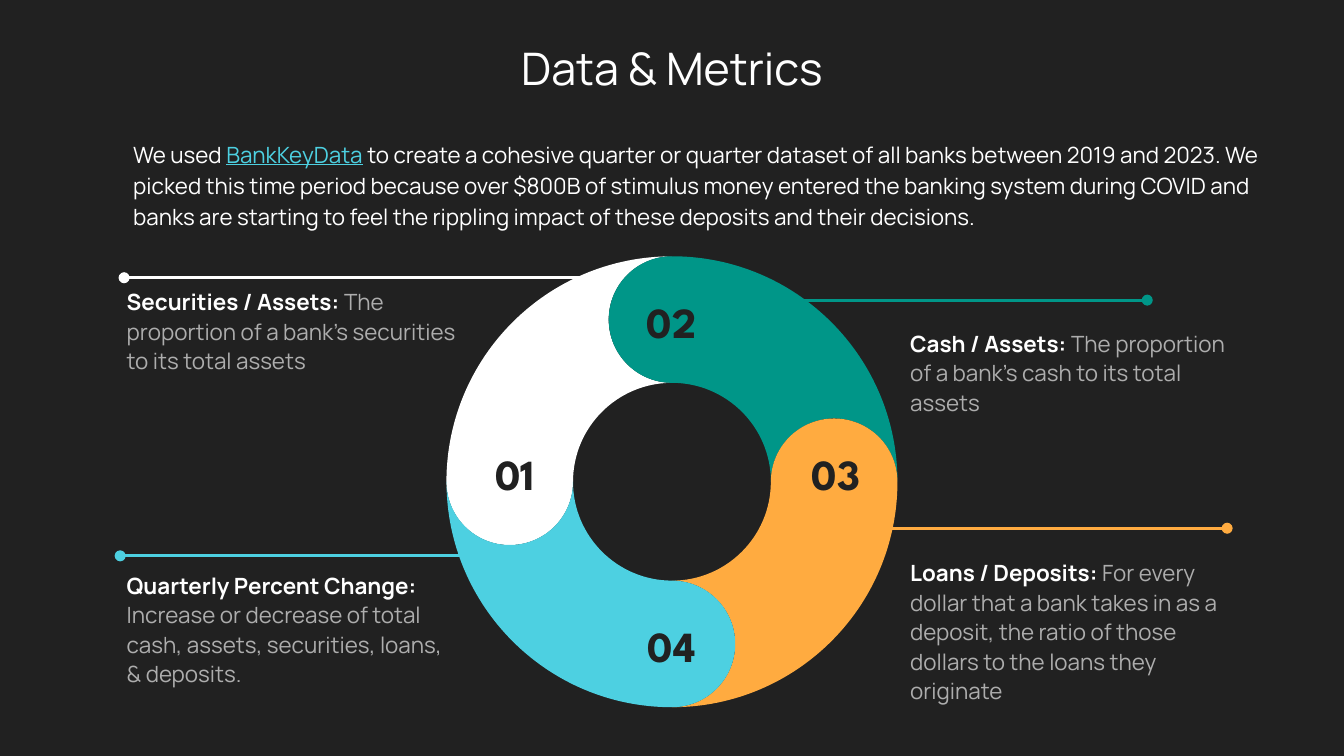
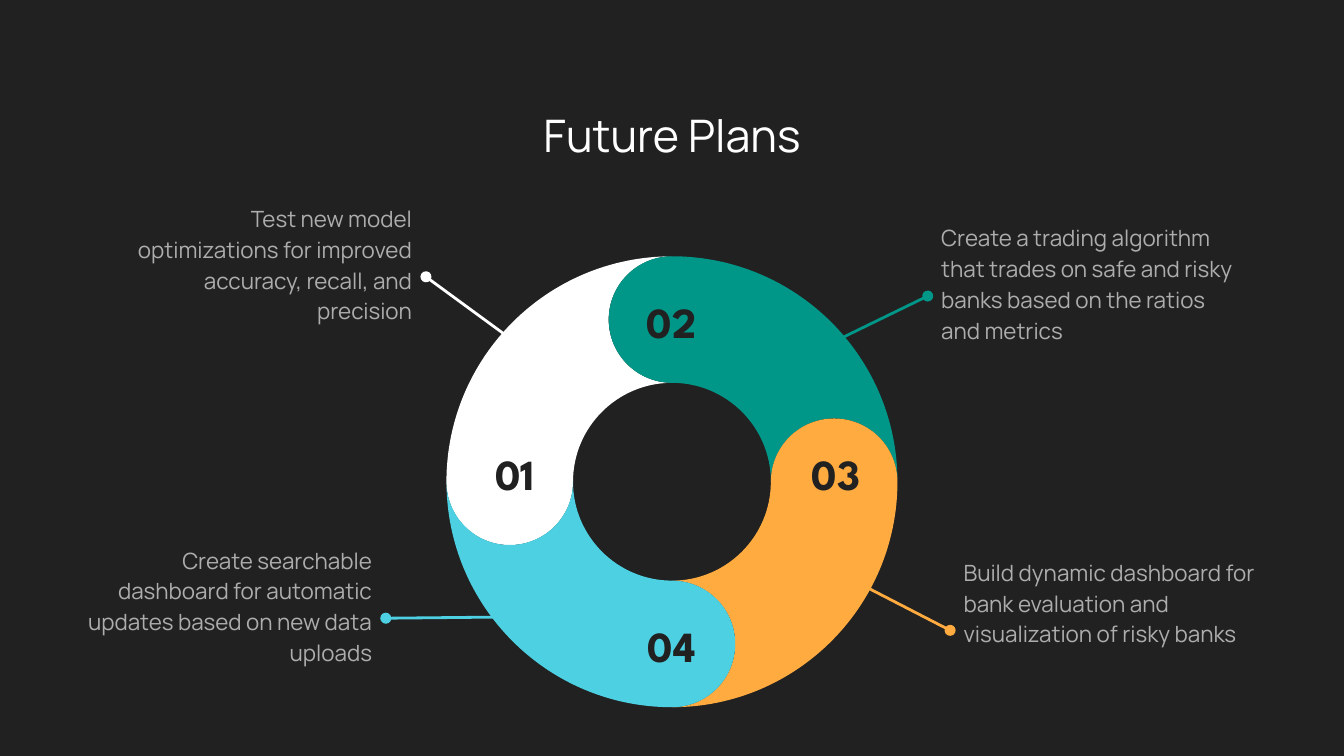
import math

import pptx
import pptx.dml.color
import pptx.enum.shapes
import pptx.enum.text
import pptx.oxml
import pptx.oxml.ns
import pptx.util

Pt = pptx.util.Pt
RGBColor = pptx.dml.color.RGBColor
ALIGN = pptx.enum.text.PP_ALIGN
ANCHOR = pptx.enum.text.MSO_ANCHOR
NAMESPACE = pptx.oxml.ns.nsdecls("a")

DARK = RGBColor(0x21, 0x21, 0x21)
WHITE = RGBColor(0xFF, 0xFF, 0xFF)
GRAY = RGBColor(0xAD, 0xAD, 0xAD)
TEAL = RGBColor(0x00, 0x96, 0x88)
ORANGE = RGBColor(0xFF, 0xAB, 0x40)
CYAN = RGBColor(0x4D, 0xD0, 0xE1)
BODY_FONT = "Manrope"
NUMBER_FONT = "League Spartan"

# Ring: label, colour, start angle (clockwise from the right), label centre
CENTER_X, CENTER_Y = 360, 258.1
OUTER, INNER = 120.8, 53
SEGMENTS = [
    ("01", WHITE, 180, (275.8, 253.8)),
    ("02", TEAL, 270, (360, 172.4)),
    ("03", ORANGE, 0, (447.8, 253.8)),
    ("04", CYAN, 90, (360, 346)),
]

# Captions follow the ring order: lead, text, box, leader start and end
SLIDES = [
    {
        "title": "Data & Metrics",
        "title_top": 19.4,
        "spacing": 1.1,
        "left_align": ALIGN.LEFT,
        "intro": [
            ("We used ", WHITE, False),
            ("BankKeyData", CYAN, True),
            (" to create a cohesive quarter or quarter dataset of all banks "
             "between 2019 and 2023. We picked this time period because over "
             "$800B of stimulus money entered the banking system during COVID "
             "and banks are starting to feel the rippling impact of these "
             "deposits and their decisions.", WHITE, False),
        ],
        "captions": [
            ("Securities / Assets: ",
             "The proportion of a bank’s securities to its total assets",
             (60.7, 145.8, 192.2, 96), (325.4, 148.8), (66.5, 148.8)),
            ("Cash / Assets:",
             " The proportion of a bank’s cash to its total assets",
             (480.4, 168.1, 184.3, 96), (410.4, 160.8), (614.6, 160.8)),
            ("Loans / Deposits: ",
             "For every dollar that a bank takes in as a deposit, the ratio of "
             "those dollars to the loans they originate",
             (480.4, 291.1, 184.3, 96), (476.6, 283), (657.4, 283)),
            ("Quarterly Percent Change: ",
             "Increase or decrease of total cash, assets, securities, loans, "
             "& deposits.",
             (60.7, 297.7, 192.2, 96), (249.1, 297.8), (64.4, 297.8)),
        ],
    },
    {
        "title": "Future Plans",
        "title_top": 55.4,
        "spacing": 1.15,
        "left_align": ALIGN.RIGHT,
        "intro": [],
        "captions": [
            ("", "Test new model optimizations for improved accuracy, recall, "
             "and precision",
             (55.2, 100.4, 172.8, 96), (279.4, 185.8), (228.2, 148.3)),
            ("", "Create a trading algorithm that trades on safe and risky "
             "banks based on the ratios and metrics",
             (497, 110.6, 179.3, 96), (442.8, 185), (497, 158.6)),
            ("", "Build dynamic dashboard for bank evaluation and "
             "visualization of risky banks",
             (509, 290, 179.3, 96), (457.2, 311), (509, 337.7)),
            ("", "Create searchable dashboard for automatic updates based on "
             "new data uploads",
             (33.8, 283.5, 172.8, 96), (276.5, 330.5), (206.7, 331.2)),
        ],
    },
]


def place(shape, left, top, width, height):
    shape.left, shape.top = Pt(left), Pt(top)
    shape.width, shape.height = Pt(width), Pt(height)


def write(shape, runs, align, size=12, font=BODY_FONT, spacing=1.0,
          anchor=ANCHOR.TOP, margins=(7.2, 7.2)):
    """Fill a shape with one paragraph of (text, colour, bold, underline) runs."""
    frame = shape.text_frame
    frame.word_wrap = True
    frame.auto_size = pptx.enum.text.MSO_AUTO_SIZE.NONE
    frame.vertical_anchor = anchor
    frame.margin_left = frame.margin_right = Pt(margins[0])
    frame.margin_top = frame.margin_bottom = Pt(margins[1])
    paragraph = frame.paragraphs[0]
    paragraph.alignment = align
    paragraph.line_spacing = spacing
    paragraph.space_before = Pt(0)
    for text, color, bold, underline in runs:
        run = paragraph.add_run()
        run.text = text
        run.font.size = Pt(size)
        run.font.name = font
        run.font.bold = bold
        run.font.underline = underline
        run.font.color.rgb = color
    return paragraph


def remove_bullet(paragraph):
    properties = paragraph._p.get_or_add_pPr()
    properties.set("marL", "0")
    properties.set("indent", "0")
    properties.append(pptx.oxml.parse_xml(f"<a:buNone {NAMESPACE}/>"))


def polar(x, y, radius, angle):
    turn = math.radians(angle)
    return x + radius * math.cos(turn), y + radius * math.sin(turn)


def arc(x, y, radius, start, turn):
    """Two control points and the end point of a quarter turn (90 or -90)."""
    handle = radius * 0.5523
    begin = polar(x, y, radius, start)
    end = polar(x, y, radius, start + turn)
    return [polar(*begin, handle, start + turn),
            polar(*end, handle, start), end]


def cap(angle, start, turn):
    """Half circle across the band at the given angle of the ring."""
    x, y = polar(CENTER_X, CENTER_Y, (OUTER + INNER) / 2, angle)
    radius = (OUTER - INNER) / 2
    return (arc(x, y, radius, start, turn)
            + arc(x, y, radius, start + turn, turn))


def curve(shape):
    """Turn each three line segments of a freeform into one Bézier curve."""
    qn = pptx.oxml.ns.qn
    lines = list(shape._element.iter(qn("a:lnTo")))
    for first, second, third in zip(lines[::3], lines[1::3], lines[2::3]):
        bezier = pptx.oxml.parse_xml(f"<a:cubicBezTo {NAMESPACE}/>")
        first.addprevious(bezier)
        for line in (first, second, third):
            bezier.append(line[0])
            line.getparent().remove(line)


def add_ring(slide):
    for label, color, start, _ in SEGMENTS:
        end = start + 90
        outline = (arc(CENTER_X, CENTER_Y, OUTER, start, 90)
                   + cap(end, end, -90)
                   + arc(CENTER_X, CENTER_Y, INNER, end, -90)
                   + cap(start, start - 180, 90))
        origin = polar(CENTER_X, CENTER_Y, OUTER, start)
        builder = slide.shapes.build_freeform(Pt(origin[0]), Pt(origin[1]))
        builder.add_line_segments([(Pt(x), Pt(y)) for x, y in outline],
                                  close=False)
        segment = builder.convert_to_shape()
        curve(segment)
        segment.shadow.inherit = False
        segment.fill.solid()
        segment.fill.fore_color.rgb = color
        segment.line.fill.background()

    for label, _, _, (x, y) in SEGMENTS:
        number = slide.shapes.add_textbox(
            Pt(x - 21), Pt(y - 15.5), Pt(42), Pt(31))
        write(number, [(label, DARK, True, False)], ALIGN.CENTER, 23,
              NUMBER_FONT, anchor=ANCHOR.MIDDLE, margins=(2.9, 1.4))


def add_leader(slide, start, end, color, ends):
    leader = slide.shapes.add_connector(
        pptx.enum.shapes.MSO_CONNECTOR.STRAIGHT,
        *[Pt(value) for value in start + end])
    leader.line.color.rgb = color
    leader.line.width = Pt(1.5)
    line = leader.line._get_or_add_ln()
    for tag in ends:
        line.append(pptx.oxml.parse_xml(f'<a:{tag} {NAMESPACE} type="oval"/>'))
    leader._element.spPr.append(
        pptx.oxml.parse_xml(f"<a:effectLst {NAMESPACE}/>"))


def add_slide(deck, content):
    slide = deck.slides.add_slide(
        deck.slide_layouts.get_by_name("Comparison"))
    add_ring(slide)

    # Title and introduction
    title = slide.shapes.title
    place(title, 97.9, content["title_top"], 524.2, 33.1)
    write(title, [(content["title"], WHITE, False, False)], ALIGN.CENTER, 24,
          anchor=ANCHOR.MIDDLE)
    if content["intro"]:
        intro = slide.shapes.add_textbox(Pt(64.3), Pt(66.2), Pt(622), Pt(62.6))
        write(intro, [(text, color, False, underline)
                      for text, color, underline in content["intro"]],
              ALIGN.LEFT, spacing=1.15)

    # Captions with their leader lines
    for index, (segment, caption) in enumerate(
            zip(SEGMENTS, content["captions"]), start=1):
        lead, text, box, start, end = caption
        body = slide.placeholders[index]
        place(body, *box)
        runs = [(lead, WHITE, True, False)] if lead else []
        align = content["left_align"] if box[0] < CENTER_X else ALIGN.LEFT
        remove_bullet(write(body, runs + [(text, GRAY, False, False)], align,
                            spacing=content["spacing"]))
        ends = ("headEnd", "tailEnd") if index == 1 else ("tailEnd",)
        add_leader(slide, start, end, segment[1], ends)


def main():
    deck = pptx.Presentation()
    deck.slide_width, deck.slide_height = Pt(720), Pt(405)
    background = deck.slide_master.background.fill
    background.solid()
    background.fore_color.rgb = DARK
    for content in SLIDES:
        add_slide(deck, content)
    deck.save("out.pptx")


if __name__ == "__main__":
    main()
